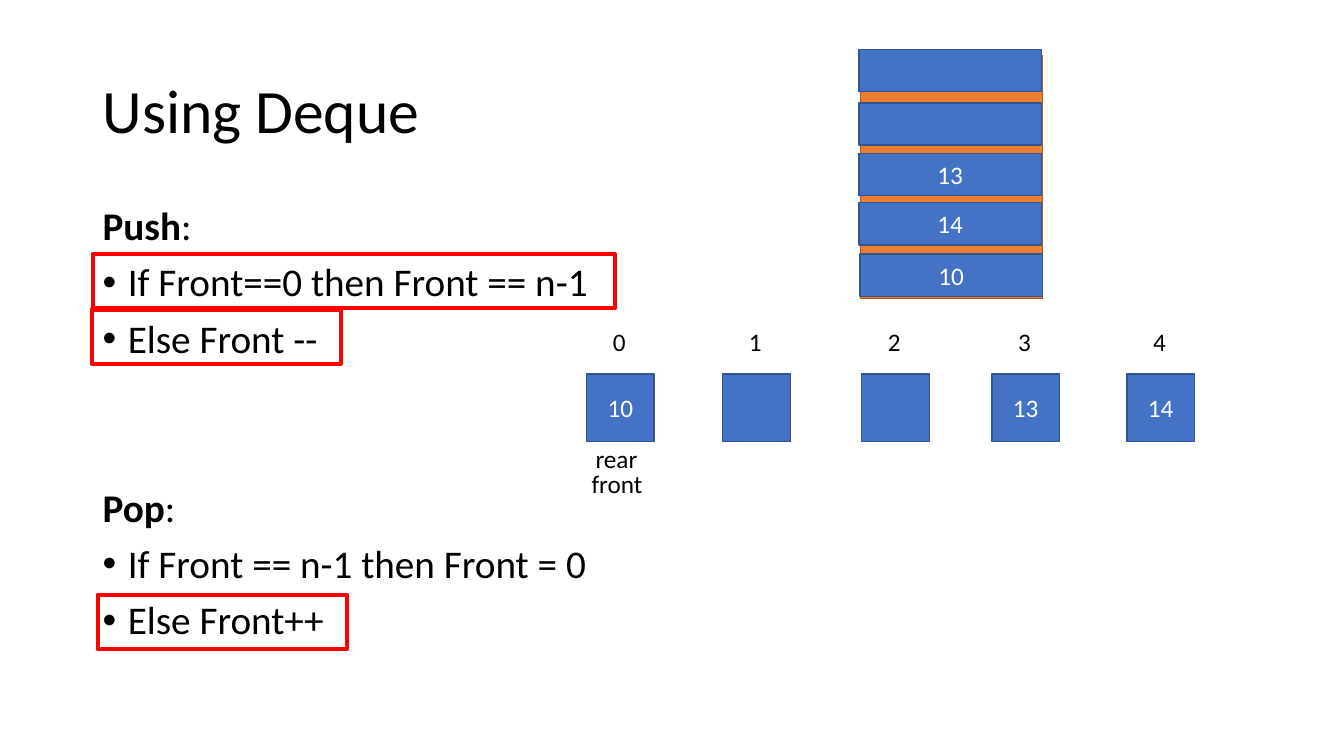
"""Build the slide that shows a stack kept in a deque."""
from typing import NamedTuple

from lxml.etree import SubElement
from pptx import Presentation
from pptx.dml.color import RGBColor
from pptx.enum.shapes import MSO_SHAPE as Preset
from pptx.enum.text import MSO_ANCHOR as Anchor, PP_ALIGN as Align
from pptx.oxml.ns import qn
from pptx.util import Pt

COLORS = {
    "ink": "000000", "paper": "FFFFFF", "cell": "4472C4", "cell_edge": "325491",
    "stack": "ED7D31", "stack_edge": "AF5C24", "mark": "FF0000",
}


class Box(NamedTuple):
    left: float
    top: float
    width: float
    height: float


class Slot(NamedTuple):
    left: float
    top: float
    value: str = ""


class Rule(NamedTuple):
    text: str
    heading: bool = False
    space_before: float = 10


TITLE = Box(66.24, 28.8, 828, 104.4)
BODY = Box(66.24, 144, 828, 342.72)
STACK = Box(614.88, 39.6, 129.6, 173.52)
RULES = [
    Rule("Push", heading=True),
    Rule("If Front==0 then Front == n-1"),
    Rule("Else Front --"),
    Rule("Pop", heading=True, space_before=90.5),
    Rule("If Front == n-1 then Front = 0"),
    Rule("Else Front++"),
]
CELL_SIZE = 48.24
DEQUE = [
    Slot(419.04, 267.12, "10"), Slot(516.24, 267.12), Slot(615.6, 267.12),
    Slot(708.48, 267.12, "13"), Slot(804.96, 267.12, "14"),
]
STACK_SLOTS = [
    Slot(613.44, 35.28), Slot(613.44, 73.44), Slot(613.44, 109.44, "13"),
    Slot(613.44, 144.72, "14"), Slot(614.16, 181.44, "10"),
]
POINTERS = {
    "front": Box(415.44, 331.2, 51.12, 28.8),
    "rear": Box(418.32, 313.2, 44.64, 28.8),
}
ACTIVE_RULES = [
    Box(66.24, 181.44, 372.96, 38.88),
    Box(65.52, 221.04, 177.84, 38.88),
    Box(69.84, 424.8, 177.84, 38.88),
]


def color(name: str) -> RGBColor:
    return RGBColor.from_string(COLORS[name])


def add_text(paragraph, text: str, *, size: float = 18, ink: str = "ink",
             bold: bool = False) -> None:
    run = paragraph.add_run()
    run.text = text
    run.font.name = "Calibri"
    run.font.size = Pt(size)
    run.font.bold = bold
    run.font.color.rgb = color(ink)


def add_frame(slide, box: Box, wrap: bool = True):
    frame = slide.shapes.add_textbox(*map(Pt, box)).text_frame
    frame.word_wrap = wrap
    return frame


def add_rect(slide, box: Box, edge: str, fill: str = "", weight: float = 1,
             value: str = "") -> None:
    rect = slide.shapes.add_shape(Preset.RECTANGLE, *map(Pt, box))
    rect.shadow.inherit = False
    if fill:
        rect.fill.solid()
        rect.fill.fore_color.rgb = color(fill)
    else:
        rect.fill.background()
    rect.line.color.rgb = color(edge)
    rect.line.width = Pt(weight)
    if value:
        rect.text_frame.vertical_anchor = Anchor.MIDDLE
        paragraph = rect.text_frame.paragraphs[0]
        paragraph.alignment = Align.CENTER
        add_text(paragraph, value, ink="paper")


def add_bullet(paragraph) -> None:
    properties = paragraph._p.get_or_add_pPr()
    properties.set("marL", str(Pt(18)))
    properties.set("indent", str(Pt(-18)))
    SubElement(properties, qn("a:buFont"), typeface="Arial")
    SubElement(properties, qn("a:buChar"), char="•")


def add_rules(slide) -> None:
    frame = add_frame(slide, BODY)
    for number, rule in enumerate(RULES):
        paragraph = frame.add_paragraph() if number else frame.paragraphs[0]
        paragraph.line_spacing = 0.9
        paragraph.space_before = Pt(rule.space_before)
        add_text(paragraph, rule.text, size=28, bold=rule.heading)
        if rule.heading:
            add_text(paragraph, ":", size=28)
        else:
            add_bullet(paragraph)


def add_deque(slide) -> None:
    for index, slot in enumerate(DEQUE):
        cell = Box(slot.left, slot.top, CELL_SIZE, CELL_SIZE)
        add_rect(slide, cell, "cell_edge", "cell", value=slot.value)
        label = add_frame(slide, Box(slot.left + 11.6, 229.3, 25.2, 28.8))
        add_text(label.paragraphs[0], str(index))
    for name, box in POINTERS.items():
        add_text(add_frame(slide, box).paragraphs[0], name)


def add_stack(slide) -> None:
    add_rect(slide, STACK, "stack_edge", "stack")
    for slot in STACK_SLOTS:
        cell = Box(slot.left, slot.top, 130.32, 30.24)
        add_rect(slide, cell, "cell_edge", "cell", value=slot.value)


def main() -> None:
    deck = Presentation()
    deck.slide_width, deck.slide_height = Pt(960), Pt(540)
    slide = deck.slides.add_slide(deck.slide_layouts[6])
    title = add_frame(slide, TITLE)
    title.vertical_anchor = Anchor.MIDDLE
    title.paragraphs[0].line_spacing = 0.9
    add_text(title.paragraphs[0], "Using Deque", size=44)
    add_rules(slide)
    add_deque(slide)
    add_stack(slide)
    for box in ACTIVE_RULES:
        add_rect(slide, box, "mark", weight=3)
    deck.save("out.pptx")


if __name__ == "__main__":
    main()
